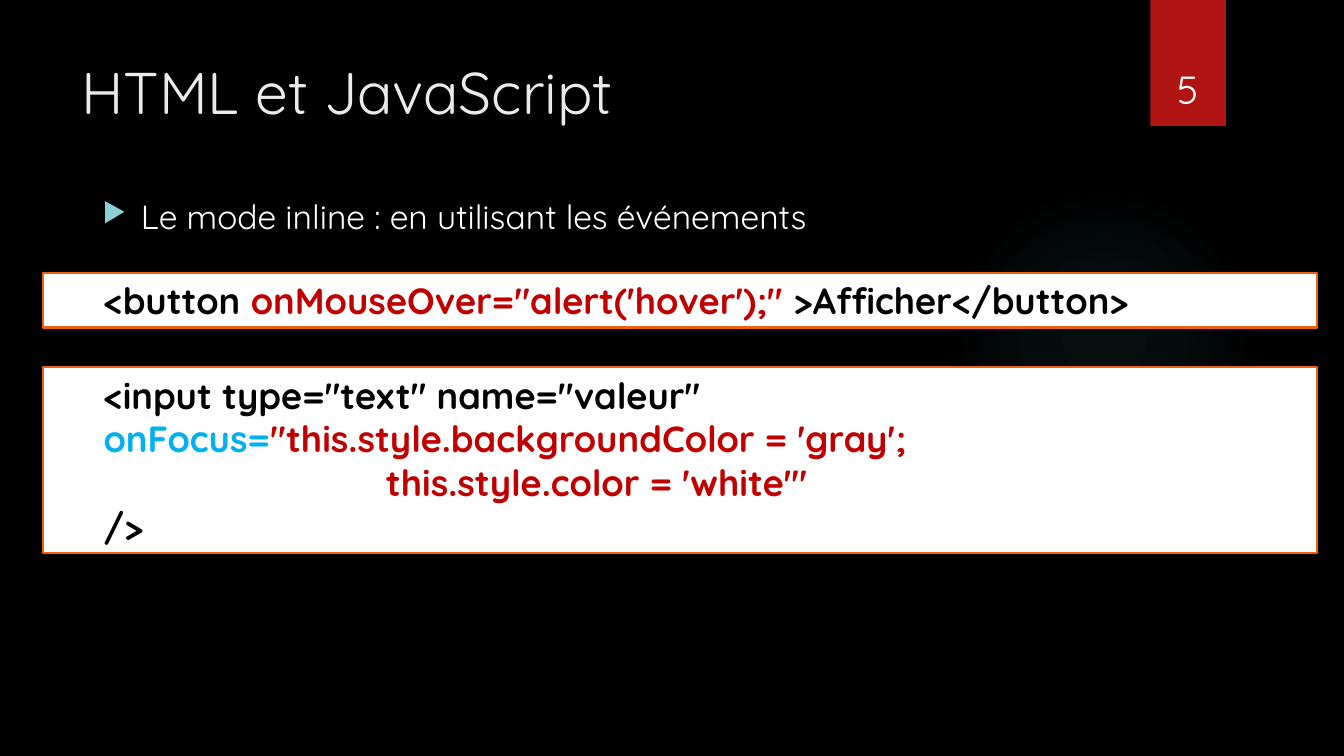
from lxml import etree
from pptx import Presentation
from pptx.dml.color import RGBColor
from pptx.enum.shapes import MSO_SHAPE as Shape
from pptx.enum.text import MSO_ANCHOR as Anchor, PP_ALIGN as Align
from pptx.oxml import parse_xml
from pptx.oxml.ns import nsdecls, qn
from pptx.util import Inches, Pt

BLACK = RGBColor(0x00, 0x00, 0x00)
WHITE = RGBColor(0xFF, 0xFF, 0xFF)
TITLE_GREY = RGBColor(0xEB, 0xEB, 0xEB)
TAB_RED = RGBColor(0xB0, 0x15, 0x13)
ORANGE = RGBColor(0xEA, 0x63, 0x12)
CODE_RED = RGBColor(0xC0, 0x00, 0x00)
CODE_BLUE = RGBColor(0x00, 0xB0, 0xF0)
BULLET_TEAL = RGBColor(0x8A, 0xD0, 0xD6)
GLOW_TEAL = RGBColor(0x50, 0xB9, 0xC1)
FONT = "Quicksand"

TITLE = "HTML et JavaScript"
MODE = "Le mode inline : en utilisant les événements"
PAGE = "5"
GLOW_STOPS = [(0, 7), (36, 6), (69, 0)]
CODE_INDENT, STYLE_INDENT = 0.5, 3.3
SNIPPETS = [
    (2.71, 0.54, [
        (CODE_INDENT, [("<button ", BLACK),
                       ("onMouseOver=\"alert('hover');\" ", CODE_RED),
                       (">Afficher</button>", BLACK)]),
    ]),
    (3.64, 1.85, [
        (CODE_INDENT, [('<input type="text" name="valeur"', BLACK)]),
        (CODE_INDENT, [("onFocus=", CODE_BLUE),
                       ("\"this.style.backgroundColor = 'gray';", CODE_RED)]),
        (STYLE_INDENT, [("this.style.color = 'white'\"", CODE_RED)]),
        (CODE_INDENT, [("/>", BLACK)]),
    ]),
]


def set_font(paragraph, size, color=None, bold=False):
    font = paragraph.font
    font.name, font.size, font.bold = FONT, Pt(size), bold
    if color is not None:
        font.color.rgb = color


def set_indent(paragraph, left, first=0):
    props = paragraph._p.get_or_add_pPr()
    props.set("marL", str(Inches(left)))
    props.set("indent", str(Inches(first)))
    return props


def add_text(slide, box, text, size, color, anchor=Anchor.TOP):
    frame = slide.shapes.add_textbox(*map(Inches, box)).text_frame
    frame.word_wrap = True
    frame.vertical_anchor = anchor
    paragraph = frame.paragraphs[0]
    paragraph.text = text
    set_font(paragraph, size, color)
    return paragraph


def add_block(slide, kind, box, color=None):
    block = slide.shapes.add_shape(kind, *map(Inches, box))
    block.shadow.inherit = False
    block.line.fill.background()
    if color is not None:
        block.fill.solid()
        block.fill.fore_color.rgb = color
    return block


def add_glow(slide):
    glow = add_block(slide, Shape.OVAL, (9.41, 1.83, 3.08, 3.08))
    stops = "".join(
        f'<a:gs pos="{pos * 1000}"><a:srgbClr val="{GLOW_TEAL}">'
        f'<a:alpha val="{alpha * 1000}"/></a:srgbClr></a:gs>'
        for pos, alpha in GLOW_STOPS)
    gradient = parse_xml(
        f'<a:gradFill {nsdecls("a")}><a:gsLst>{stops}</a:gsLst>'
        '<a:path path="circle"><a:fillToRect l="50000" t="50000" '
        'r="50000" b="50000"/></a:path></a:gradFill>')
    glow._element.spPr.find(qn("a:prstGeom")).addnext(gradient)


def add_bullet(paragraph):
    props = set_indent(paragraph, 0.38, -0.38)
    bullet = parse_xml(
        f'<a:pPr {nsdecls("a")}><a:buClr><a:srgbClr val="{BULLET_TEAL}"/></a:buClr>'
        '<a:buSzPct val="80000"/><a:buChar char="▶"/></a:pPr>')
    for position, part in enumerate(list(bullet)):
        props.insert(position, part)


def add_snippet(slide, top, height, lines):
    panel = add_block(slide, Shape.RECTANGLE, (0.43, top, 12.63, height), WHITE)
    panel.line.color.rgb = ORANGE
    panel.line.width = Pt(1.5)
    frame = panel.text_frame
    frame.word_wrap = True
    frame.vertical_anchor = Anchor.MIDDLE
    for number, (indent, parts) in enumerate(lines):
        paragraph = frame.add_paragraph() if number else frame.paragraphs[0]
        paragraph.alignment = Align.LEFT
        set_indent(paragraph, indent)
        set_font(paragraph, 26, bold=True)
        for text, color in parts:
            run = paragraph.add_run()
            run.text = text
            run.font.color.rgb = color


def main():
    deck = Presentation()
    deck.slide_width, deck.slide_height = Inches(13.33), Inches(7.5)
    slide = deck.slides.add_slide(deck.slide_layouts[6])
    slide.background.fill.solid()
    slide.background.fill.fore_color.rgb = BLACK

    add_glow(slide)
    add_block(slide, Shape.RECTANGLE, (11.41, 0, 0.75, 1.25), TAB_RED)
    add_text(slide, (0.71, 0.5, 10.29, 1.53), TITLE, 42, TITLE_GREY)
    add_bullet(add_text(slide, (0.92, 1.89, 11.32, 0.69), MODE, 24, WHITE))
    page = add_text(slide, (11.32, 0.32, 0.92, 0.84), PAGE, 28, WHITE, Anchor.BOTTOM)
    page.alignment = Align.CENTER
    for snippet in SNIPPETS:
        add_snippet(slide, *snippet)
    deck.save("out.pptx")


if __name__ == "__main__":
    main()
